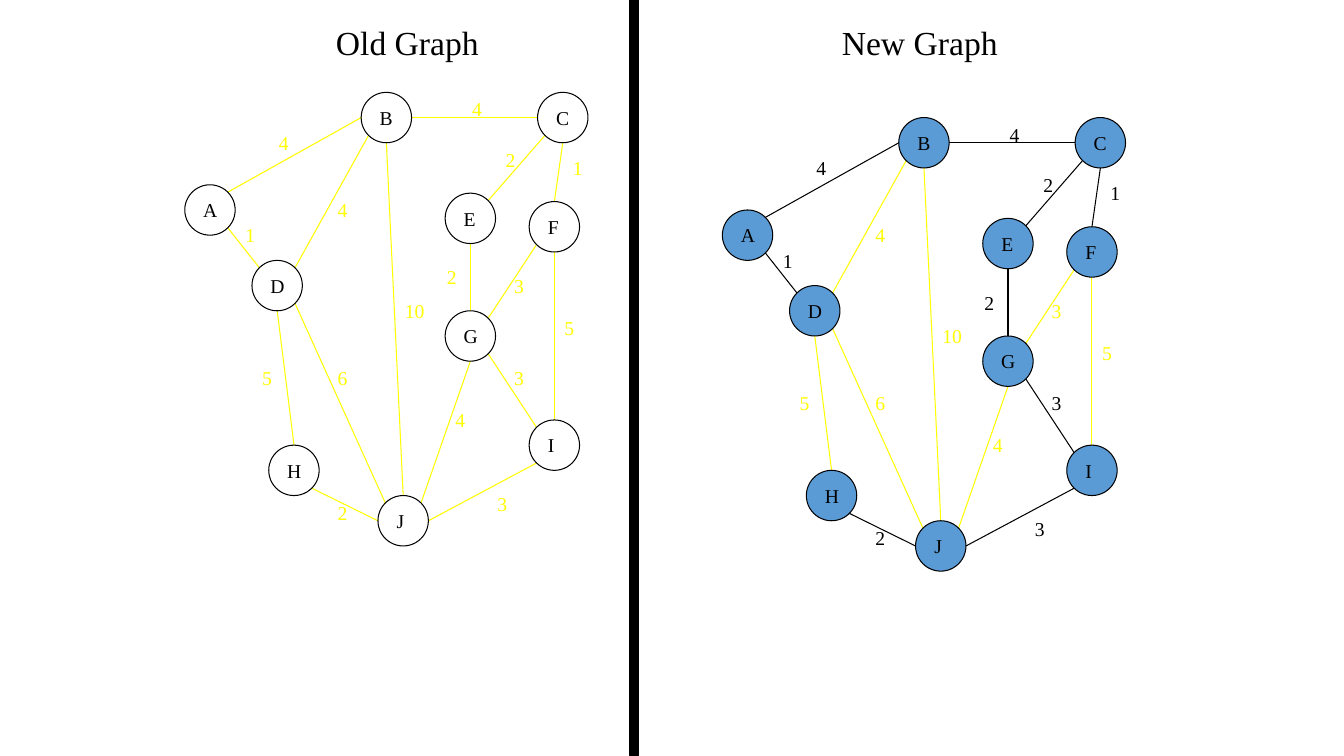
from math import sqrt

from lxml.etree import SubElement
from pptx import Presentation
from pptx.dml.color import RGBColor
from pptx.enum.shapes import MSO_CONNECTOR, MSO_SHAPE
from pptx.enum.text import MSO_AUTO_SIZE, PP_ALIGN
from pptx.oxml.ns import qn
from pptx.util import Pt

BLACK = RGBColor(0x00, 0x00, 0x00)
YELLOW = RGBColor(0xFF, 0xFF, 0x00)
BLUE = RGBColor(0x5B, 0x9B, 0xD5)

FONT = "Times New Roman"
OUTLINE = 0.75
RADIUS = 18
DIAGONAL = RADIUS / sqrt(2)

SITES = {
    "N": (0, -RADIUS),
    "S": (0, RADIUS),
    "W": (-RADIUS, 0),
    "E": (RADIUS, 0),
    "NW": (-DIAGONAL, -DIAGONAL),
    "NE": (DIAGONAL, -DIAGONAL),
    "SW": (-DIAGONAL, DIAGONAL),
    "SE": (DIAGONAL, DIAGONAL),
}

# name: left, top, name width
NODES = {
    "A": (132, 132, 24.5),
    "B": (258, 66, 23.8),
    "C": (384, 66, 23.8),
    "D": (180, 186, 24.5),
    "E": (318, 138, 23),
    "F": (378, 144, 22.3),
    "G": (318, 222, 24.5),
    "H": (192, 318, 24.5),
    "I": (378, 300, 19.4),
    "J": (270, 354, 20.2),
}

# start, site, end, site, weight, weight left, weight top, kept in new graph
EDGES = [
    ("B", "E", "C", "W", "4", 330, 66, True),
    ("B", "SW", "D", "NE", "4", 234, 138, False),
    ("D", "SE", "J", "NW", "6", 234, 258, False),
    ("J", "NE", "G", "S", "4", 318, 288, False),
    ("F", "SW", "G", "NE", "3", 360, 192, False),
    ("E", "S", "G", "N", "2", 312, 186, True),
    ("B", "S", "J", "N", "10", 282, 210, False),
    ("C", "SW", "E", "NE", "2", 354, 102, True),
    ("C", "S", "F", "N", "1", 402, 108, True),
    ("J", "E", "I", "SW", "3", 348, 348, True),
    ("J", "W", "H", "SE", "2", 234, 354, True),
    ("D", "NW", "A", "SE", "1", 168, 156, True),
    ("I", "NW", "G", "SE", "3", 360, 258, True),
    ("F", "S", "I", "N", "5", 396, 222, False),
    ("A", "NE", "B", "W", "4", 192, 90, True),
    ("D", "S", "H", "N", "5", 180, 258, False),
]


def add_label(slide, text, left, top, width, height=24.5, size=14, color=BLACK):
    label = slide.shapes.add_textbox(Pt(left), Pt(top), Pt(width), Pt(height))
    frame = label.text_frame
    frame.text = text
    frame.word_wrap = False
    frame.auto_size = MSO_AUTO_SIZE.SHAPE_TO_FIT_TEXT
    paragraph = frame.paragraphs[0]
    paragraph.alignment = PP_ALIGN.CENTER
    font = paragraph.runs[0].font
    font.name = FONT
    font.size = Pt(size)
    font.color.rgb = color
    return label


def add_title(slide, text, left):
    title = add_label(slide, text, left, 12, 210, 36, 24)
    title.text_frame.word_wrap = True
    title.text_frame.paragraphs[0].space_before = Pt(3)


def add_outlined(slide, kind, left, top, width, height, fill):
    outlined = slide.shapes.add_shape(kind, Pt(left), Pt(top), Pt(width), Pt(height))
    outlined.shadow.inherit = False
    if fill is None:
        outlined.fill.background()
    else:
        outlined.fill.solid()
        outlined.fill.fore_color.rgb = fill
    outlined.line.color.rgb = BLACK
    outlined.line.width = Pt(OUTLINE)


def site_position(node, site, dx, dy):
    left, top, _ = NODES[node]
    site_x, site_y = SITES[site]
    return Pt(left + RADIUS + site_x + dx), Pt(top + RADIUS + site_y + dy)


def add_edge(slide, begin, end, color):
    edge = slide.shapes.add_connector(MSO_CONNECTOR.STRAIGHT, *begin, *end)
    edge.line.color.rgb = color
    edge.line.width = Pt(OUTLINE)
    SubElement(edge._element.spPr, qn("a:effectLst"))


def add_graph(slide, dx, dy, node_fill, kept_color):
    for start, start_site, end, end_site, weight, left, top, kept in EDGES:
        color = kept_color if kept else YELLOW
        add_edge(
            slide,
            site_position(start, start_site, dx, dy),
            site_position(end, end_site, dx, dy),
            color,
        )
        weight_width = 14.4 + 7 * len(weight)
        add_label(slide, weight, left + dx, top + dy, weight_width, color=color)
    for name, (left, top, name_width) in NODES.items():
        x, y = left + dx, top + dy
        add_outlined(slide, MSO_SHAPE.OVAL, x, y, 2 * RADIUS, 2 * RADIUS, node_fill)
        add_label(slide, name, x + 6, y + 6, name_width)


def main():
    presentation = Presentation()
    presentation.slide_width = Pt(960)
    presentation.slide_height = Pt(540)
    slide = presentation.slides.add_slide(presentation.slide_layouts[6])
    add_title(slide, "Old Graph", 186)
    add_title(slide, "New Graph", 552)
    add_outlined(slide, MSO_SHAPE.RECTANGLE, 450, 0, 6, 540, BLACK)
    add_graph(slide, 0, 0, None, YELLOW)
    add_graph(slide, 384, 18, BLUE, BLACK)
    presentation.save("out.pptx")


if __name__ == "__main__":
    main()
